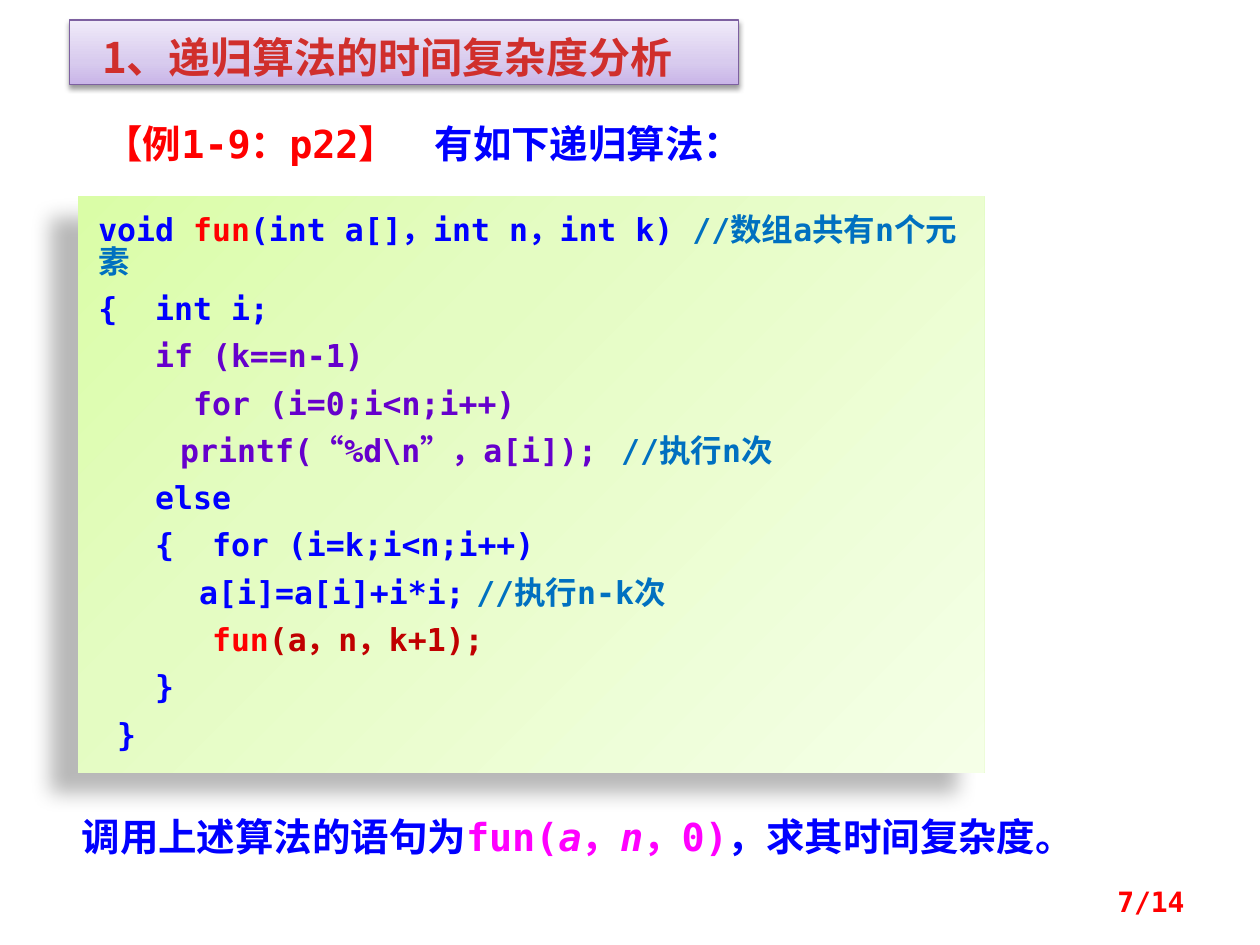
"""Build the slide on the time complexity of a recursive algorithm."""
from lxml.etree import SubElement
from pptx import Presentation
from pptx.dml.color import RGBColor as RGB
from pptx.enum.shapes import MSO_SHAPE as SHAPE
from pptx.enum.text import MSO_ANCHOR as ANCHOR, PP_ALIGN as ALIGN
from pptx.oxml.ns import qn
from pptx.util import Inches, Pt

MONO, SANS = "DejaVu Sans Mono", "Noto Sans CJK SC"
RED, BLUE, MAGENTA = RGB(255, 0, 0), RGB(0, 0, 255), RGB(255, 0, 255)
TITLE_RED, DARK_RED = RGB(0xD0, 0x2F, 0x2C), RGB(0xC0, 0, 0)
VIOLET, COMMENT = RGB(0x66, 0, 0xCC), RGB(0, 0x70, 0xC0)
BORDER = RGB(0x7D, 0x60, 0xA0)
LILAC = [(0, RGB(0xC9, 0xB5, 0xE8)), (35, RGB(0xD8, 0xCB, 0xEE)), (100, RGB(0xF0, 0xEA, 0xF9))]
LIME = [(0, RGB(0xDA, 0xFD, 0xA7)), (35, RGB(0xE4, 0xFC, 0xC2)), (100, RGB(0xF5, 0xFF, 0xE7))]

CODE = [
    [("void ", BLUE), ("fun", RED), ("(int a[]，int n，int k) ", BLUE), ("//数组a共有n个元素", COMMENT)],
    [("{  int i;", BLUE)],
    [("   if (k==n-1)", VIOLET)],
    [("     for (i=0;i<n;i++)", VIOLET)],
    [("\t printf(“%d\\n”，a[i]);\t ", VIOLET), ("//执行n次", COMMENT)],
    [("   else", BLUE)],
    [("   {  for (i=k;i<n;i++)", BLUE)],
    [("\t  a[i]=a[i]+i*i;\t", BLUE), ("//执行n-k次", COMMENT)],
    [("      fun", RED), ("(a，n，k+1);", DARK_RED)],
    [("   }", BLUE)],
    [(" }", BLUE)],
]


def add_text(sp, lines, size, font=MONO, align=ALIGN.LEFT, anchor=ANCHOR.TOP,
             insets=(0.1, 0.05, 0.1, 0.05), spacing=None, before=0, tab=None):
    """Write lines of (text, colour[, italic]) runs into a shape."""
    tf = sp.text_frame
    tf.word_wrap, tf.vertical_anchor = True, anchor
    tf.margin_left, tf.margin_top, tf.margin_right, tf.margin_bottom = map(Inches, insets)
    for i, runs in enumerate(lines):
        p = tf.add_paragraph() if i else tf.paragraphs[0]
        p.alignment, p.line_spacing = align, spacing
        p.space_before = Pt(before if i else 0)
        if tab:
            tabs = SubElement(p._p.get_or_add_pPr(), qn("a:tabLst"))
            SubElement(tabs, qn("a:tab"), pos=str(Inches(tab)), algn="l")
        for text, color, *italic in runs:
            r = p.add_run()
            r.text = text
            r.font.size, r.font.name, r.font.bold = Pt(size), font, True
            r.font.color.rgb = color
            if italic:
                r.font.italic = italic[0]
            SubElement(r._r.get_or_add_rPr(), qn("a:ea"), typeface=SANS)


def add_box(slide, *box):
    """Add a text box."""
    return slide.shapes.add_textbox(*map(Inches, box))


def add_panel(slide, box, stops, angle, shadow, border=None):
    """Add a rectangle with a gradient and an outer shadow."""
    sp = slide.shapes.add_shape(SHAPE.RECTANGLE, *map(Inches, box))
    sp.fill.gradient()
    sp.fill.gradient_angle = angle
    stop_list = sp._element.spPr.find(".//" + qn("a:gsLst"))
    stop_list.clear()
    for pos, color in stops:
        stop = SubElement(stop_list, qn("a:gs"), pos=str(pos * 1000))
        SubElement(stop, qn("a:srgbClr"), val=str(color))
    if border:
        sp.line.color.rgb, sp.line.width = border, Pt(0.75)
    else:
        sp.line.fill.background()
    sp.shadow.inherit = False
    alpha, blur, dist, direction = shadow
    effects = sp._element.spPr.find(qn("a:effectLst"))
    outer = SubElement(effects, qn("a:outerShdw"), blurRad=str(Pt(blur)), dist=str(Pt(dist)),
                       dir=str(direction * 60000), algn="ctr", rotWithShape="0")
    color = SubElement(outer, qn("a:srgbClr"), val="000000")
    SubElement(color, qn("a:alpha"), val=str(alpha * 1000))
    return sp


def main():
    """Create and save the slide."""
    prs = Presentation()
    prs.slide_width, prs.slide_height = Inches(10), Inches(7.5)
    slide = prs.slides.add_slide(prs.slide_layouts[6])

    add_text(add_box(slide, 0.55, 0.9, 5.55, 0.47),
             [[("【例1-9：p22】\t", RED), ("有如下递归算法：", BLUE)]], 22,
             insets=(0.28, 0.05, 0.1, 0.05), tab=2.62)
    title = add_panel(slide, (0.55, 0.16, 5.31, 0.51), LILAC, 90, (38, 3.1, 1.6, 90), BORDER)
    add_text(title, [[("1、递归算法的时间复杂度分析", TITLE_RED)]], 24, SANS,
             insets=(0.26, 0.05, 0.1, 0.05), spacing=1.1)
    call = [("调用上述算法的语句为", BLUE), ("fun(", MAGENTA), ("a", MAGENTA, True), ("，", MAGENTA),
            ("n", MAGENTA, True), ("，0)", MAGENTA), ("，求其时间复杂度。", BLUE)]
    add_text(add_box(slide, 0.55, 6.37, 8.52, 0.48), [call], 22, spacing=1.1)
    add_text(add_box(slide, 7.17, 6.95, 2.33, 0.4), [[("7/14", RED)]], 16,
             align=ALIGN.RIGHT, anchor=ANCHOR.MIDDLE)
    code = add_panel(slide, (0.62, 1.56, 7.19, 4.57), LIME, 315, (28, 11.8, 19.7, 141))
    add_text(code, CODE, 18, insets=(0.16, 0.16, 0.1, 0.12), spacing=Pt(18), before=9)

    prs.save("out.pptx")


if __name__ == "__main__":
    main()
